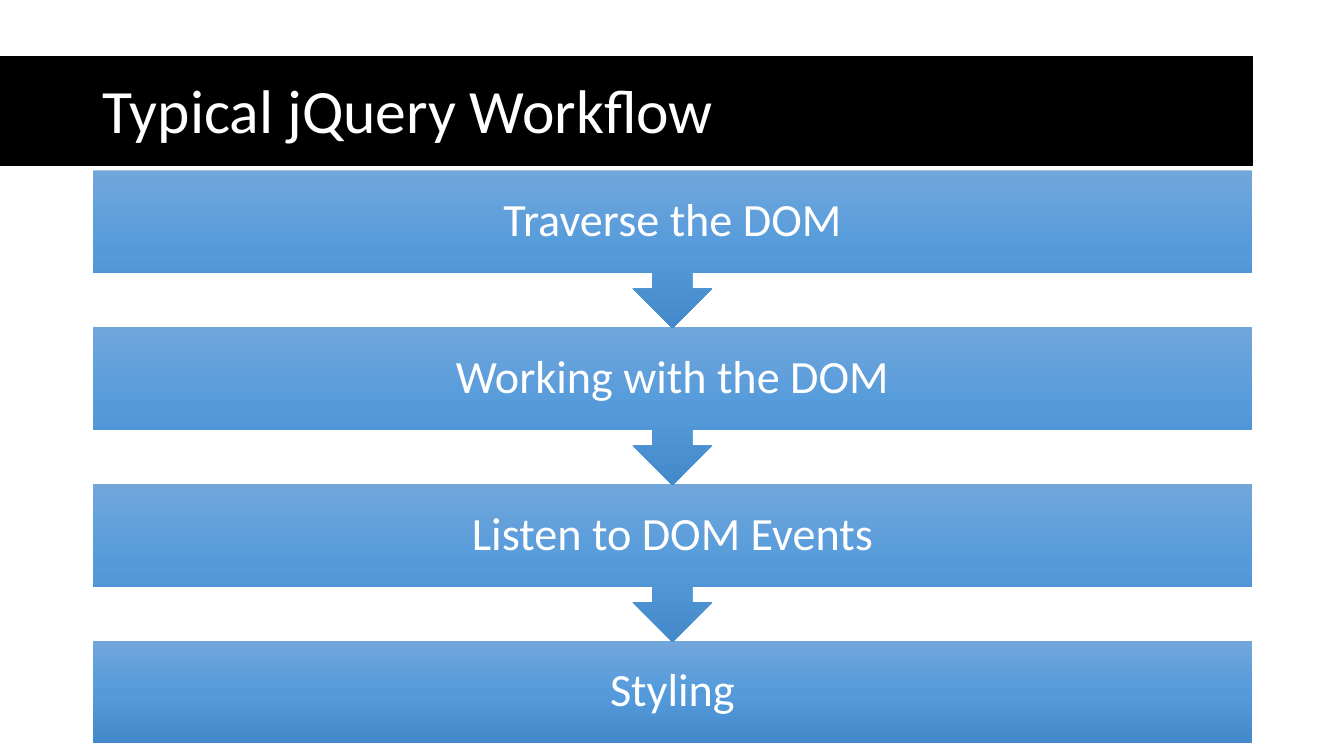
from copy import deepcopy
from dataclasses import dataclass

from pptx import Presentation
from pptx.dml.color import RGBColor
from pptx.enum.shapes import MSO_SHAPE
from pptx.enum.text import MSO_ANCHOR, PP_ALIGN
from pptx.oxml.ns import qn
from pptx.util import Inches, Pt


@dataclass(frozen=True)
class Theme:
    font: str = "Calibri"
    band: str = "000000"
    text: str = "FFFFFF"
    gradient: tuple = ((0, "71A6DB"), (0.5, "559BDB"), (1, "448ACA"))
    title_size: int = 44
    step_size: int = 33


THEME = Theme()
WIDTH, HEIGHT = 13.33, 7.5
MARGIN = 0.92
CONTENT_WIDTH = 11.5
BOX_SHARE = 0.65
STEPS = ["Traverse the DOM", "Working with the DOM", "Listen to DOM Events", "Styling"]


def add_block(slide, shape_type, left, top, width, height):
    sp = slide.shapes.add_shape(
        shape_type, Inches(left), Inches(top), Inches(width), Inches(height))
    sp.shadow.inherit = False
    return sp


def write(sp, text, size, align):
    tf = sp.text_frame
    tf.word_wrap = True
    tf.vertical_anchor = MSO_ANCHOR.MIDDLE
    tf.text = text
    p = tf.paragraphs[0]
    p.alignment = align
    p.line_spacing = 0.9
    font = p.runs[0].font
    font.name = THEME.font
    font.size = Pt(size)
    font.color.rgb = RGBColor.from_string(THEME.text)


def fill_gradient(sp):
    sp.fill.gradient()
    sp.fill.gradient_angle = 270
    stops = sp._element.spPr.find(qn("a:gradFill")).find(qn("a:gsLst"))
    stops.insert(1, deepcopy(stops[0]))
    for stop, (position, color) in zip(sp.fill.gradient_stops, THEME.gradient):
        stop.position = position
        stop.color.rgb = RGBColor.from_string(color)


def add_title(slide, text, top, height):
    band = add_block(slide, MSO_SHAPE.RECTANGLE, 0, top, MARGIN + CONTENT_WIDTH, height)
    band.fill.solid()
    band.fill.fore_color.rgb = RGBColor.from_string(THEME.band)
    band.line.color.rgb = RGBColor.from_string(THEME.band)
    band.line.width = Pt(1)
    title = slide.shapes.add_textbox(
        Inches(MARGIN), Inches(top), Inches(CONTENT_WIDTH), Inches(height + 0.05))
    write(title, text, THEME.title_size, PP_ALIGN.LEFT)


def add_workflow(slide, steps, left, top, width, height):
    pitch = height / (len(steps) - 1 + BOX_SHARE)
    last = len(steps) - 1
    for i in range(last, -1, -1):
        kind = MSO_SHAPE.RECTANGLE if i == last else MSO_SHAPE.DOWN_ARROW_CALLOUT
        step_height = pitch * BOX_SHARE if i == last else pitch + 0.01
        sp = add_block(slide, kind, left, top + i * pitch, width, step_height)
        fill_gradient(sp)
        sp.line.fill.background()
        write(sp, steps[i], THEME.step_size, PP_ALIGN.CENTER)


def main():
    prs = Presentation()
    prs.slide_width, prs.slide_height = Inches(WIDTH), Inches(HEIGHT)
    slide = prs.slides.add_slide(prs.slide_layouts[6])
    add_title(slide, "Typical jQuery Workflow", 0.56, 1.08)
    add_workflow(slide, STEPS, MARGIN, 1.69, CONTENT_WIDTH, 5.68)
    prs.save("out.pptx")


if __name__ == "__main__":
    main()
